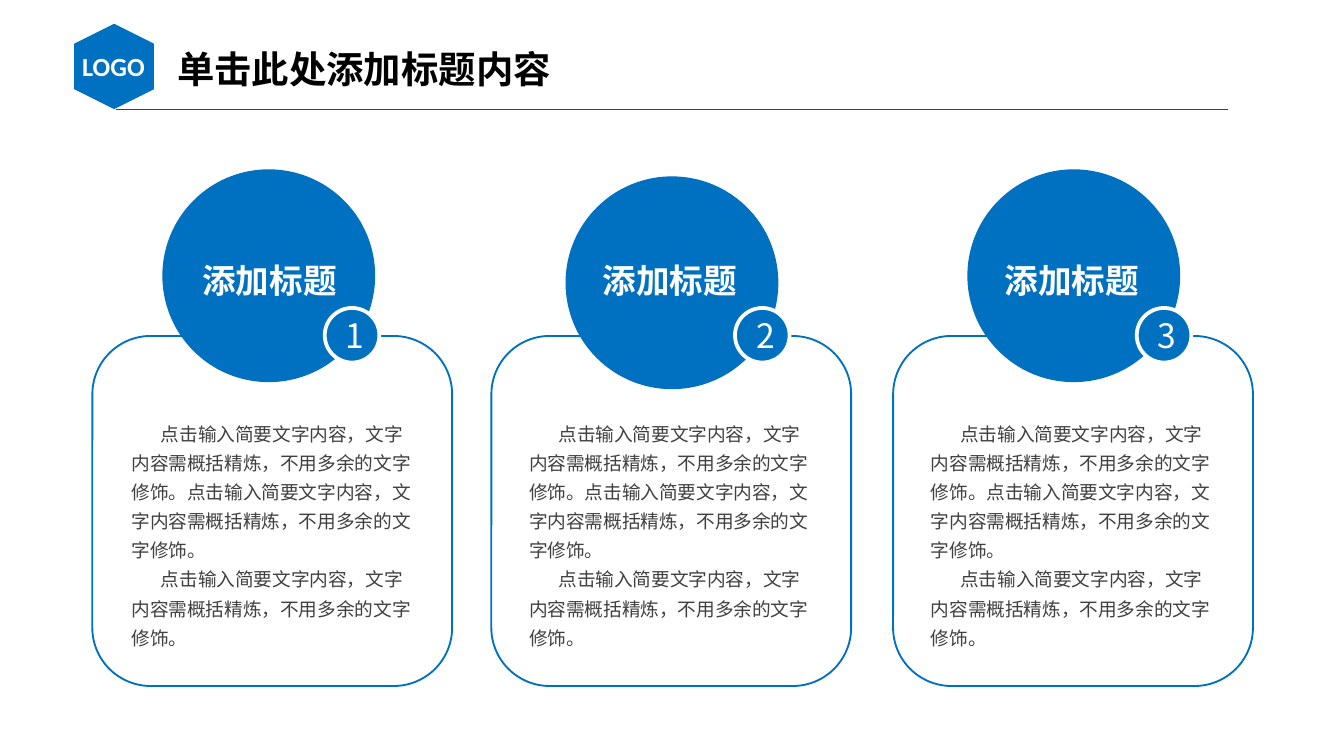
from lxml.etree import SubElement
from pptx import Presentation
from pptx.dml.color import RGBColor
from pptx.enum.shapes import MSO_CONNECTOR, MSO_SHAPE
from pptx.enum.text import PP_ALIGN
from pptx.oxml.ns import qn
from pptx.util import Pt

PX = 9525  # 96 px to the inch
BLUE = RGBColor(0x00, 0x70, 0xC0)
WHITE = RGBColor(0xFF, 0xFF, 0xFF)
BLACK = RGBColor(0x00, 0x00, 0x00)
GREY = RGBColor(0x40, 0x40, 0x40)
CJK = "Noto Sans CJK SC"

SENTENCE = "点击输入简要文字内容，文字内容需概括精炼，不用多余的文字修饰。"
BODY = [SENTENCE * 2, SENTENCE]

prs = Presentation()
prs.slide_width, prs.slide_height = 960 * PX, 540 * PX
s = prs.slides.add_slide(prs.slide_layouts[6])


def add_shape(kind, x, y, w, h, fill=None, line=None, width=1):
    sp = s.shapes.add_shape(kind, x * PX, y * PX, w * PX, h * PX)
    sp.shadow.inherit = False
    if fill is None:
        sp.fill.background()
    else:
        sp.fill.solid()
        sp.fill.fore_color.rgb = fill
    if line is None:
        sp.line.fill.background()
    else:
        sp.line.color.rgb = line
        sp.line.width = Pt(width)
    return sp


def set_font(p, size, color, bold=False, name=CJK):
    """Set the paragraph font for Latin and East Asian text alike."""
    p.font.size = Pt(size)
    p.font.bold = bold
    p.font.color.rgb = color
    p.font.name = name
    SubElement(p.font._element, qn("a:ea"), typeface=name)


# Header
rule = s.shapes.add_connector(MSO_CONNECTOR.STRAIGHT, 83 * PX, 78 * PX, 877 * PX, 78 * PX)
rule.line.color.rgb = GREY
rule.line.width = Pt(0.5)
SubElement(rule._element.spPr, qn("a:effectLst"))

badge = add_shape(MSO_SHAPE.HEXAGON, 51, 19, 61, 57, BLUE)
badge.rotation = 90

for text, x, y, w, h, size, color, name, align in [
    ("LOGO", 47, 31, 68, 33, 14, WHITE, "Calibri", PP_ALIGN.CENTER),
    ("单击此处添加标题内容", 117, 28, 378, 42, 20, BLACK, CJK, PP_ALIGN.LEFT),
]:
    tf = s.shapes.add_textbox(x * PX, y * PX, w * PX, h * PX).text_frame
    tf.word_wrap = True
    p = tf.paragraphs[0]
    p.text = text
    p.alignment = align
    set_font(p, size, color, True, name)

# Cards: left edges of card, circle, number, title and body, then top of circle
columns = [
    (66, 116, 232, 135, 94, 121),
    (351, 404, 525, 421, 378, 126),
    (638, 691, 812, 708, 665, 121),
]
for number, (card_x, circle_x, number_x, title_x, body_x, circle_y) in enumerate(columns, 1):
    add_shape(MSO_SHAPE.ROUNDED_RECTANGLE, card_x, 240, 257, 250, line=BLUE)
    ring = add_shape(MSO_SHAPE.DONUT, circle_x, circle_y, 152, 152, BLUE)
    ring.adjustments[0] = 0.05
    add_shape(MSO_SHAPE.OVAL, circle_x + 3, circle_y + 3, 146, 146, BLUE)

    sp = add_shape(MSO_SHAPE.OVAL, number_x, 220, 39, 39, BLUE, WHITE, 2)
    p = sp.text_frame.paragraphs[0]
    p.text = str(number)
    p.alignment = PP_ALIGN.CENTER
    set_font(p, 18, WHITE)

    tf = s.shapes.add_textbox(title_x * PX, 181 * PX, 116 * PX, 38 * PX).text_frame
    tf.word_wrap = False
    p = tf.paragraphs[0]
    p.text = "添加标题"
    set_font(p, 18, WHITE, True)

    tf = s.shapes.add_textbox(body_x * PX, 297 * PX, 204 * PX, 168 * PX).text_frame
    tf.word_wrap = True
    tf.margin_left = tf.margin_top = tf.margin_right = tf.margin_bottom = 0
    tf.text = "\n".join(BODY)
    for p in tf.paragraphs:
        p.line_spacing = 1.3
        p._p.get_or_add_pPr().set("indent", str(21 * PX))
        set_font(p, 10, GREY)

prs.save("out.pptx")
